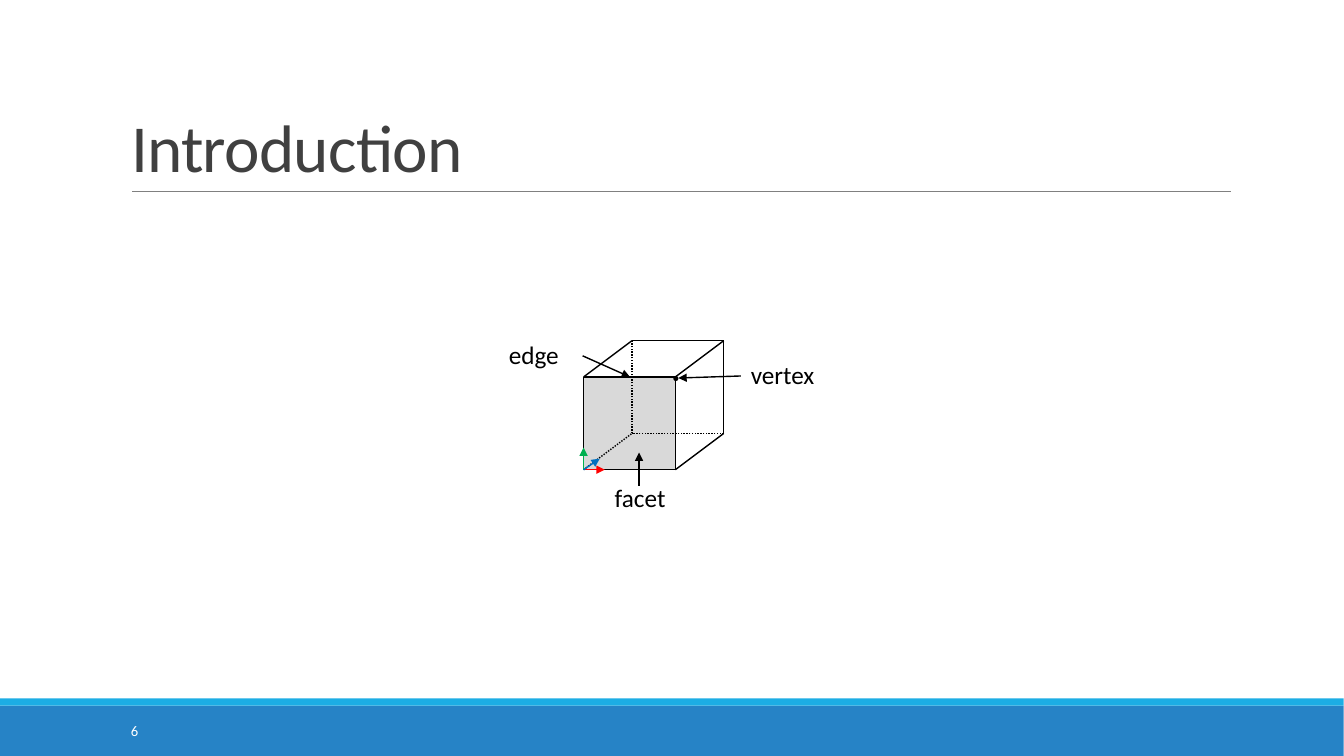
from dataclasses import dataclass

from pptx import Presentation
from pptx.dml.color import RGBColor
from pptx.enum.dml import MSO_LINE
from pptx.enum.shapes import MSO_CONNECTOR, MSO_SHAPE
from pptx.enum.text import MSO_ANCHOR, MSO_AUTO_SIZE
from pptx.oxml.ns import qn
from pptx.util import Emu, Pt
from lxml.etree import SubElement

# Content: lengths in px, 100 px to the inch
TITLE = "Introduction"
PAGE_NUMBER = "6"
CORNER = (579, 374)  # top left of the front facet
SIDE = (91, 92)
DEPTH = (48, -36)
AXES = [("green", (0, -22)), ("red", (21, 0)), ("blue", (16, -11))]
CALLOUTS = [  # wording, label box, arrow start, arrow end
    ("vertex", (735, 352, 84, 40), (735, 373), (673, 375)),
    ("edge", (495, 332, 70, 40), (578, 353), (625, 374)),
    ("facet", (600, 474, 71, 40), (634, 482), (634, 449)),
]


@dataclass(frozen=True)
class Theme:
    font: str = "Calibri"
    title: str = "404040"
    rule: str = "808080"
    footer: str = "2683C6"
    strip: str = "1CADE4"
    facet: str = "D9D9D9"
    black: str = "000000"
    white: str = "FFFFFF"
    green: str = "00B050"
    red: str = "FF0000"
    blue: str = "0070C0"
    title_size: float = 48
    label_size: float = 18
    number_size: float = 10.5


THEME = Theme()
PX = 9144


def px(*lengths):
    return [Emu(length * PX) for length in lengths]


def add_block(kind, box, color):
    block = slide.shapes.add_shape(kind, *px(*box))
    block.shadow.inherit = False
    block.fill.solid()
    block.fill.fore_color.rgb = RGBColor.from_string(color)
    block.line.fill.background()


def add_line(start, end, color=THEME.black, width=1, dotted=False, arrow=False):
    line = slide.shapes.add_connector(MSO_CONNECTOR.STRAIGHT, *px(*start, *end))
    line.line.color.rgb = RGBColor.from_string(color)
    line.line.width = Pt(width)
    if dotted:
        line.line.dash_style = MSO_LINE.ROUND_DOT
    if arrow:
        SubElement(line.line._get_or_add_ln(), qn("a:tailEnd"), type="triangle")
    SubElement(line._element.spPr, qn("a:effectLst"))


def write(frame, wording, size, color):
    frame.text = wording
    font = frame.paragraphs[0].font
    font.name, font.size = THEME.font, Pt(size)
    font.color.rgb = RGBColor.from_string(color)


def add_label(wording, box, size, color):
    frame = slide.shapes.add_textbox(*px(*box)).text_frame
    write(frame, wording, size, color)
    return frame


def shift(point, step):
    return point[0] + step[0], point[1] + step[1]


presentation = Presentation()
presentation.slide_width, presentation.slide_height = Emu(12192000), Emu(6858000)
slide = presentation.slides.add_slide(presentation.slide_layouts[5])

# Footer bands and title rule
add_block(MSO_SHAPE.RECTANGLE, (0, 700, 1333, 50), THEME.footer)
add_block(MSO_SHAPE.RECTANGLE, (0, 693, 1333, 7), THEME.strip)
add_line((131, 190), (1221, 190), THEME.rule, 0.5)

# Title and page number
title = slide.shapes.title
title.left, title.top, title.width, title.height = px(120, 31, 1100, 159)
heading = title.text_frame
write(heading, TITLE, THEME.title_size, THEME.title)
heading.vertical_anchor = MSO_ANCHOR.BOTTOM
heading.auto_size = MSO_AUTO_SIZE.NONE
heading.paragraphs[0].line_spacing = 0.85
heading.paragraphs[0].alignment = 1
heading.paragraphs[0].runs[0].font._element.set("spc", "-50")

number = add_label(PAGE_NUMBER, (120, 705, 143, 40), THEME.number_size, THEME.white)
number.word_wrap = True
number.vertical_anchor = MSO_ANCHOR.MIDDLE

# Cube: front and back squares joined by the depth edges
add_block(MSO_SHAPE.RECTANGLE, (*CORNER, *SIDE), THEME.facet)
steps = [(0, 0), (SIDE[0], 0), SIDE, (0, SIDE[1])]
front = [shift(CORNER, step) for step in steps]
back = [shift(corner, DEPTH) for corner in front]
hidden = back[3]
for i in range(4):
    following = (i + 1) % 4
    for start, end in ((front[i], front[following]),
                       (back[i], back[following]),
                       (front[i], back[i])):
        add_line(start, end, dotted=hidden in (start, end))

# Axes at the lower left corner, and the marked vertex
for color, step in AXES:
    add_line(front[3], shift(front[3], step), getattr(THEME, color), arrow=True)
add_block(MSO_SHAPE.OVAL, (*shift(front[1], (-2, -1)), 5, 5), THEME.black)

# Callouts
for wording, box, start, end in CALLOUTS:
    add_line(start, end, arrow=True)
    label = add_label(wording, box, THEME.label_size, THEME.black)
    label.word_wrap = False
    label.auto_size = MSO_AUTO_SIZE.SHAPE_TO_FIT_TEXT

presentation.save("out.pptx")
